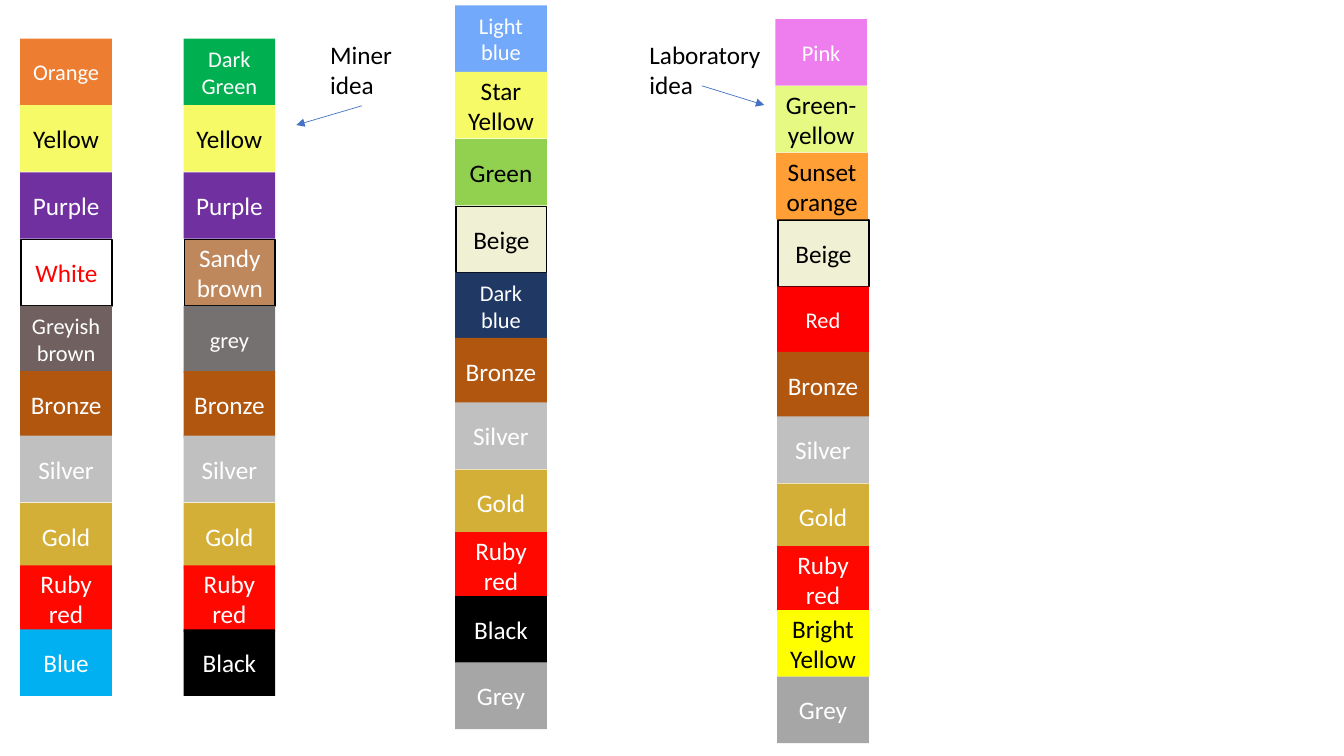
from lxml import etree
from pptx import Presentation
from pptx import util as u
from pptx.dml.color import RGBColor
from pptx.enum import shapes, text
from pptx.oxml import ns

COLOURS = {
    "Orange": "ED7D31", "Yellow": "F6FA66", "Purple": "7030A0", "White": "FFFFFF",
    "Greyish brown": "706060", "Bronze": "B1560F", "Silver": "C0C0C0", "Gold": "D4AF37",
    "Ruby red": "FF0800", "Blue": "00B0F0", "Dark Green": "00B050", "Sandy brown": "BF875C",
    "grey": "767171", "Black": "000000", "Light blue": "72A9FA", "Star Yellow": "F6FA66",
    "Green": "92D050", "Beige": "F0F0D4", "Dark blue": "203864", "Grey": "A6A6A6",
    "Pink": "EE7EEE", "Green- yellow": "E5F983", "Sunset orange": "FF9F35",
    "Red": "FF0000", "Bright Yellow": "FFFF00", "Arrow": "4472C4",
}
SMALL = {"Orange", "Greyish brown", "Dark Green", "grey", "Light blue", "Dark blue", "Pink", "Red"}
DARK_TEXT = {"Yellow", "Star Yellow", "Beige", "Green", "Green- yellow", "Sunset orange",
             "Bright Yellow"}
BORDERED = {"White", "Sandy brown", "Beige"}
# Columns by which a tile stands left of its stack
SHIFTS = {"Pink": -0.02, "Green- yellow": -0.02, "Sunset orange": -0.01}

# Tops of the tiles within a stack, in grid rows
TILE_TOPS = [0, 1, 2.01, 3.02, 4.02, 5, 5.97, 6.98, 7.92, 8.88, 9.88]
METALS = ["Bronze", "Silver", "Gold", "Ruby red"]

# Left column, top row, tiles from top to bottom
STACKS = [
    (0.22, 0.58, ["Orange", "Yellow", "Purple", "White", "Greyish brown", *METALS, "Blue"]),
    (2, 0.58, ["Dark Green", "Yellow", "Purple", "Sandy brown", "grey", *METALS, "Black"]),
    (4.96, 0.08, ["Light blue", "Star Yellow", "Green", "Beige", "Dark blue", *METALS,
                  "Black", "Grey"]),
    (8.47, 0.29, ["Pink", "Green- yellow", "Sunset orange", "Beige", "Red", *METALS,
                  "Bright Yellow", "Grey"]),
]


class ColourBoard:
    """Holds the style and the slide; lengths are in grid columns and rows."""

    COLUMN = u.Inches(0.91)
    ROW = u.Inches(0.66)
    FONT = "Calibri"

    def __init__(self, slide):
        self.slide = slide

    def across(self, columns):
        return u.Emu(round(columns * self.COLUMN))

    def down(self, rows):
        return u.Emu(round(rows * self.ROW))

    def box(self, left, top, width, height):
        return self.across(left), self.down(top), self.across(width), self.down(height)

    def set_text(self, shape, words, size, colour):
        shape.text_frame.word_wrap = True
        paragraph = shape.text_frame.paragraphs[0]
        paragraph.text = words
        paragraph.font.name = self.FONT
        paragraph.font.size = u.Pt(size)
        paragraph.font.color.rgb = RGBColor.from_string(COLOURS[colour])
        return paragraph

    def tile(self, name, left, top):
        inset = 0.01 if name in BORDERED else 0
        shape = self.slide.shapes.add_shape(
            shapes.MSO_SHAPE.RECTANGLE, *self.box(left + inset, top, 1 - inset, 1))
        shape.shadow.inherit = False
        shape.fill.solid()
        shape.fill.fore_color.rgb = RGBColor.from_string(COLOURS[name])
        if name in BORDERED:
            shape.line.color.rgb = RGBColor.from_string(COLOURS["Black"])
            shape.line.width = u.Pt(1)
        else:
            shape.line.fill.background()
        colour = "Red" if name == "White" else "Black" if name in DARK_TEXT else "White"
        paragraph = self.set_text(shape, name, 16 if name in SMALL else 18, colour)
        paragraph.alignment = text.PP_ALIGN.CENTER
        shape.text_frame.vertical_anchor = text.MSO_ANCHOR.MIDDLE

    def stack(self, left, top, names):
        # Bordered tiles lie beneath their neighbours
        tiles = sorted(zip(names, TILE_TOPS), key=lambda tile: tile[0] not in BORDERED)
        for name, offset in tiles:
            self.tile(name, left + SHIFTS.get(name, 0), top + offset)

    def label(self, words, left, top, width, height):
        shape = self.slide.shapes.add_textbox(*self.box(left, top, width, height))
        self.set_text(shape, words, 18, "Black")
        shape.text_frame.auto_size = text.MSO_AUTO_SIZE.SHAPE_TO_FIT_TEXT
        return shape

    def arrow(self, start, end):
        connector = self.slide.shapes.add_connector(
            shapes.MSO_CONNECTOR.STRAIGHT, self.across(start[0]), self.down(start[1]),
            self.across(end[0]), self.down(end[1]))
        connector.line.color.rgb = RGBColor.from_string(COLOURS["Arrow"])
        connector.line.width = u.Pt(0.5)
        properties = connector.element.spPr
        etree.SubElement(properties.find(ns.qn("a:ln")), ns.qn("a:tailEnd"), type="triangle")
        etree.SubElement(properties, ns.qn("a:effectLst"))
        return connector


def main():
    presentation = Presentation()
    presentation.slide_width = u.Inches(13.33)
    presentation.slide_height = u.Inches(7.5)
    board = ColourBoard(presentation.slides.add_slide(presentation.slide_layouts[6]))

    # Stacks of colour tiles
    for left, top, names in STACKS:
        board.stack(left, top, names)

    # Labels with their arrows
    miner = board.label("Miner idea", 3.49, 0.52, 0.91, 1.07)
    board.arrow((3.95, 1.58), (3.23, 1.88)).begin_connect(miner, 2)
    board.label("Laboratory idea", 6.97, 0.52, 1.49, 1.07)
    board.arrow((7.65, 1.29), (8.33, 1.58))

    presentation.save("out.pptx")


if __name__ == "__main__":
    main()
